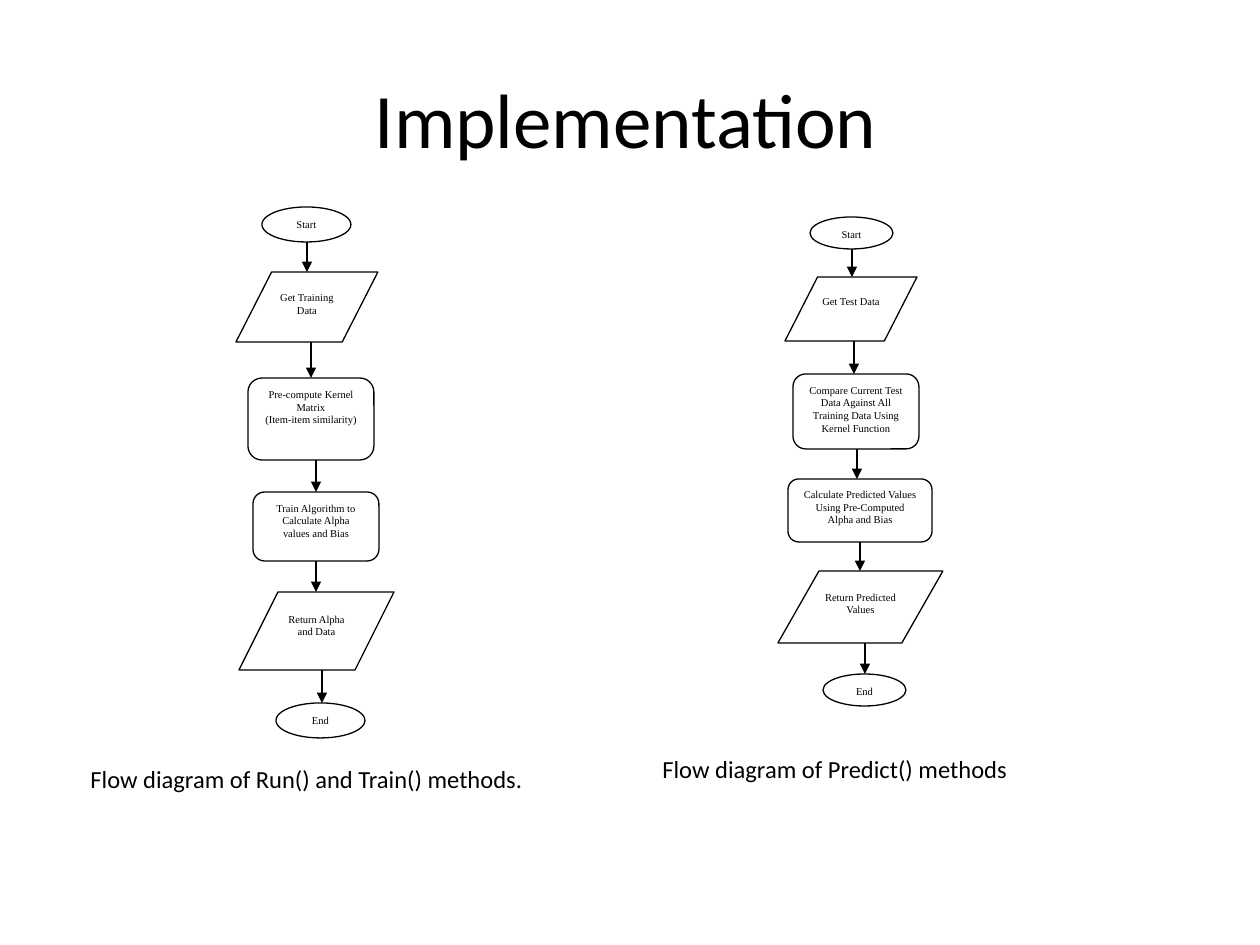
from lxml import etree
from pptx import Presentation
from pptx import util as u
from pptx.dml.color import RGBColor
from pptx.enum import shapes, text
from pptx.oxml.ns import qn

BLACK = RGBColor(0, 0, 0)
WHITE = RGBColor(255, 255, 255)
PIXEL = 914400 // 126

OVAL = shapes.MSO_SHAPE.OVAL
DATA = shapes.MSO_SHAPE.PARALLELOGRAM
STEP = shapes.MSO_SHAPE.ROUNDED_RECTANGLE

# Content: nodes are (kind, adjustment, box, paragraphs); arrows list their x
TITLE = ("Implementation", (59, 39, 1134, 158))
CAPTIONS = [
    ("Flow diagram of Run() and Train() methods.", (78, 758, 462, 43)),
    ("Flow diagram of Predict() methods", (650, 748, 532, 43)),
]
TRAIN_FLOW = {
    "nodes": [
        (OVAL, None, (262, 207, 89, 35), ["Start"]),
        (DATA, 0.51, (236, 272, 142, 70), ["Get Training Data"]),
        (STEP, 0.17, (248, 378, 126, 82),
         ["Pre-compute Kernel Matrix", "(Item-item similarity)"]),
        (STEP, 0.17, (253, 492, 126, 69),
         ["Train Algorithm to Calculate Alpha values and Bias"]),
        (DATA, 0.5, (239, 592, 155, 78), ["Return Alpha and Data"]),
        (OVAL, None, (276, 703, 89, 35), ["End"]),
    ],
    "arrows": [307, 311, 316, 316, 322],
}
PREDICT_FLOW = {
    "nodes": [
        (OVAL, None, (810, 217, 83, 32), ["Start"]),
        (DATA, 0.51, (785, 277, 132, 64), ["Get Test Data"]),
        (STEP, 0.17, (793, 374, 126, 75),
         ["Compare Current Test Data Against All Training Data Using Kernel Function"]),
        (STEP, 0.17, (788, 479, 144, 63),
         ["Calculate Predicted Values Using Pre-Computed Alpha and Bias"]),
        (DATA, 0.57, (778, 571, 165, 72), ["Return Predicted Values"]),
        (OVAL, None, (823, 674, 83, 32), ["End"]),
    ],
    "arrows": [852, 854, 857, 860, 865],
}


def px(*lengths):
    return [u.Emu(length * PIXEL) for length in lengths]


def write(shape, paragraphs, size, font="Calibri", align=text.PP_ALIGN.LEFT,
          anchor=text.MSO_ANCHOR.TOP):
    frame = shape.text_frame
    frame.word_wrap = True
    frame.vertical_anchor = anchor
    for index, words in enumerate(paragraphs):
        paragraph = frame.add_paragraph() if index else frame.paragraphs[0]
        paragraph.alignment = align
        run = paragraph.add_run()
        run.text = words
        run.font.size = u.Pt(size)
        run.font.name = font
        run.font.color.rgb = BLACK


def add_node(group, kind, adjustment, box, paragraphs):
    node = group.shapes.add_shape(kind, *px(*box))
    node.shadow.inherit = False
    node.fill.solid()
    node.fill.fore_color.rgb = WHITE
    node.line.color.rgb = BLACK
    node.line.width = u.Pt(0.75)
    if adjustment is not None:
        node.adjustments[0] = adjustment
    write(node, paragraphs, 6, font="Times New Roman", align=text.PP_ALIGN.CENTER)


def add_arrow(group, x, top, bottom):
    arrow = group.shapes.add_connector(
        shapes.MSO_CONNECTOR.STRAIGHT, *px(x, top, x, bottom))
    arrow.line.color.rgb = BLACK
    arrow.line.width = u.Pt(0.75)
    etree.SubElement(arrow.line._get_or_add_ln(), qn("a:tailEnd"), type="triangle")
    etree.SubElement(arrow._element.spPr, qn("a:effectLst"))


def add_flow(slide, flow):
    group = slide.shapes.add_group_shape()
    nodes = flow["nodes"]
    for node in nodes:
        add_node(group, *node)
    # Each arrow runs from one node's bottom to the next node's top
    for x, upper, lower in zip(flow["arrows"], nodes, nodes[1:]):
        _, top, _, height = upper[2]
        add_arrow(group, x, top + height, lower[2][1])


presentation = Presentation()
presentation.slide_width = u.Inches(10)
presentation.slide_height = u.Inches(7.5)
slide = presentation.slides.add_slide(presentation.slide_layouts[5])

# Title
title = slide.shapes.title
title.left, title.top, title.width, title.height = px(*TITLE[1])
write(title, [TITLE[0]], 44, align=text.PP_ALIGN.CENTER, anchor=text.MSO_ANCHOR.MIDDLE)

# Flow diagrams
for flow in (TRAIN_FLOW, PREDICT_FLOW):
    add_flow(slide, flow)

# Captions
for words, box in CAPTIONS:
    caption = slide.shapes.add_textbox(*px(*box))
    write(caption, [words], 14)
    caption.text_frame.auto_size = text.MSO_AUTO_SIZE.SHAPE_TO_FIT_TEXT

presentation.save("out.pptx")
